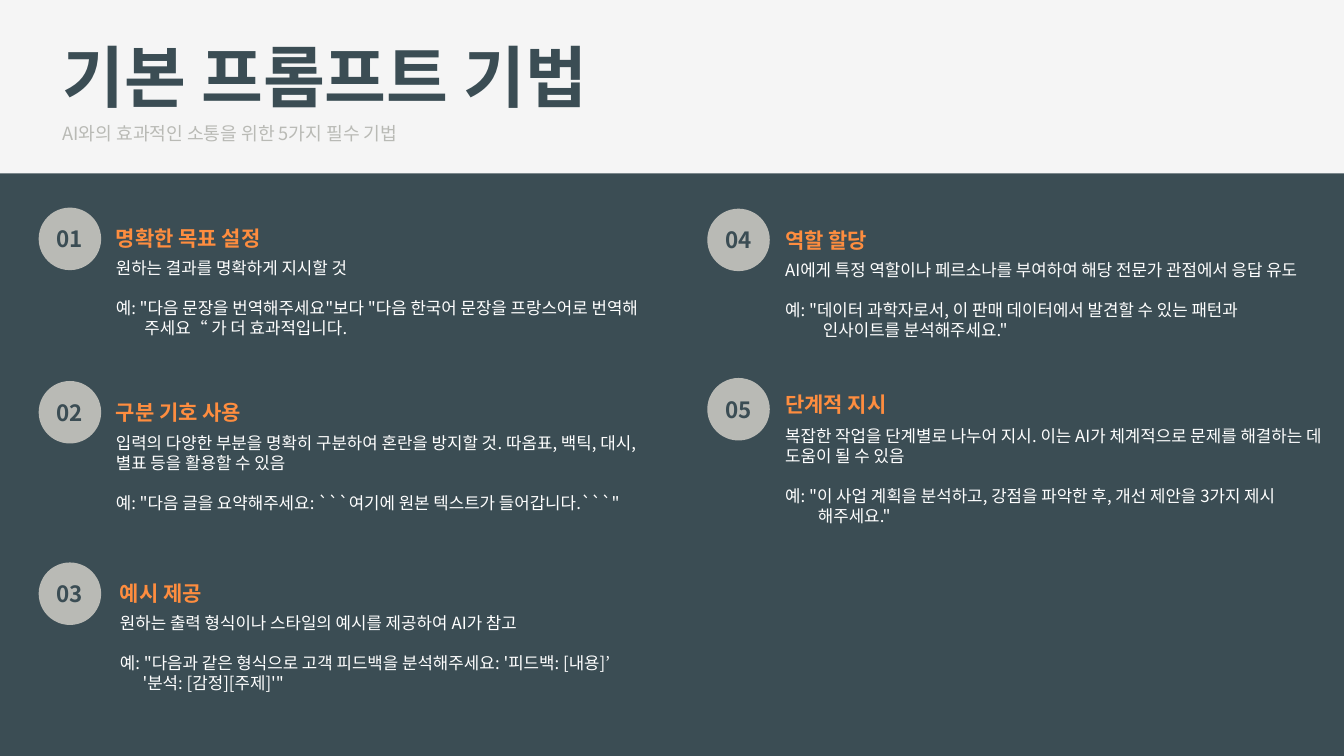
from dataclasses import dataclass

from lxml.etree import SubElement
from pptx import Presentation
from pptx.dml.color import RGBColor
from pptx.enum.shapes import MSO_SHAPE
from pptx.enum.text import MSO_ANCHOR, MSO_AUTO_SIZE, PP_ALIGN
from pptx.oxml.ns import qn
from pptx.shapes.autoshape import Shape
from pptx.slide import Slide
from pptx.text.text import TextFrame
from pptx.util import Inches, Pt

COLORS = {
    "paper": "F5F5F5",
    "slate": "3B4D54",
    "stone": "B9BAB5",
    "orange": "FE8D3F",
    "white": "FFFFFF",
}
FONT = "Noto Sans CJK KR"
LINE = Pt(14.3)

# The slide is a grid of 160 columns by 90 rows.
WIDTH, HEIGHT = Inches(13.333), Inches(7.5)
COLUMN, ROW = WIDTH / 160, HEIGHT / 90
BAND_TOP = 20.64
DISC_SIZE = 7.44
HEADING_ROWS = 3.6
BODY_DROP = 4.9
LEFT_DISC, LEFT_TEXT = 4.6, 13.8
RIGHT_DISC, RIGHT_TEXT = 84.2, 93.48


@dataclass(frozen=True)
class Area:
    column: float
    row: float
    columns: float
    rows: float


@dataclass(frozen=True)
class Technique:
    heading: str
    advice: list[str]
    example: str
    continuation: str
    indent: float
    disc_column: float
    disc_row: float
    text_column: float
    heading_row: float
    body_columns: float
    body_rows: float = 8.16


TECHNIQUES = [
    Technique(
        "명확한 목표 설정",
        ["원하는 결과를 명확하게 지시할 것"],
        "예: \"다음 문장을 번역해주세요\"보다 \"다음 한국어 문장을 프랑스어로 번역해",
        "주세요“ 가 더 효과적입니다.",
        3.4, LEFT_DISC, 24.72, LEFT_TEXT, 26.52, 66,
    ),
    Technique(
        "구분 기호 사용",
        ["입력의 다양한 부분을 명확히 구분하여 혼란을 방지할 것. 따옴표, 백틱, 대시,",
         "별표 등을 활용할 수 있음"],
        "예: \"다음 글을 요약해주세요: ```여기에 원본 텍스트가 들어갑니다.```\"",
        "",
        0, LEFT_DISC, 45.36, LEFT_TEXT, 47.28, 66,
    ),
    Technique(
        "예시 제공",
        ["원하는 출력 형식이나 스타일의 예시를 제공하여 AI가 참고"],
        "예: \"다음과 같은 형식으로 고객 피드백을 분석해주세요: '피드백: [내용]’",
        "'분석: [감정][주제]'\"",
        2.7, LEFT_DISC, 66.96, LEFT_TEXT + 0.48, 68.76, 60.48,
    ),
    Technique(
        "역할 할당",
        ["AI에게 특정 역할이나 페르소나를 부여하여 해당 전문가 관점에서 응답 유도"],
        "예: \"데이터 과학자로서, 이 판매 데이터에서 발견할 수 있는 패턴과",
        "인사이트를 분석해주세요.\"",
        4.5, RIGHT_DISC, 24.84, RIGHT_TEXT, 26.76, 64,
    ),
    Technique(
        "단계적 지시",
        ["복잡한 작업을 단계별로 나누어 지시. 이는 AI가 체계적으로 문제를 해결하는 데 도움이 될 수 있음"],
        "예: \"이 사업 계획을 분석하고, 강점을 파악한 후, 개선 제안을 3가지 제시",
        "해주세요.\"",
        3.9, RIGHT_DISC, 45, RIGHT_TEXT, 46.32, 64, 10.92,
    ),
]


def grid_box(area: Area) -> tuple[int, int, int, int]:
    """Turn grid units into left, top, width and height."""
    return (round(area.column * COLUMN), round(area.row * ROW),
            round(area.columns * COLUMN), round(area.rows * ROW))


def write(frame: TextFrame, text: str, size: float, color: str,
          bold: bool = False, align: PP_ALIGN = PP_ALIGN.LEFT) -> None:
    """Fill a text frame, one paragraph a line, in a single style."""
    frame.text = text
    frame.word_wrap = True
    frame.auto_size = MSO_AUTO_SIZE.NONE
    frame.vertical_anchor = MSO_ANCHOR.MIDDLE
    frame.margin_left = frame.margin_right = 0
    frame.margin_top = frame.margin_bottom = 0
    for para in frame.paragraphs:
        para.alignment = align
        para.space_before = Pt(0)
        for span in para.runs:
            span.font.size = Pt(size)
            span.font.bold = bold
            span.font.color.rgb = RGBColor.from_string(COLORS[color])
            span.font.name = FONT
            SubElement(span.font._element, qn("a:ea"), typeface=FONT)


def add_filled(page: Slide, kind: MSO_SHAPE, area: Area, color: str) -> Shape:
    shape = page.shapes.add_shape(kind, *grid_box(area))
    shape.shadow.inherit = False
    shape.fill.solid()
    shape.fill.fore_color.rgb = RGBColor.from_string(COLORS[color])
    shape.line.fill.background()
    return shape


def fill_placeholder(box: Shape, area: Area, text: str, size: float,
                     color: str, bold: bool = False) -> None:
    box.left, box.top, box.width, box.height = grid_box(area)
    write(box.text_frame, text, size, color, bold)


def add_technique(page: Slide, number: int, item: Technique) -> None:
    disc_area = Area(item.disc_column, item.disc_row, DISC_SIZE, DISC_SIZE)
    disc = add_filled(page, MSO_SHAPE.OVAL, disc_area, "stone")
    write(disc.text_frame, f"{number:02d}", 16, "slate", True, PP_ALIGN.CENTER)

    heading_area = Area(item.text_column, item.heading_row, 30, HEADING_ROWS)
    heading = page.shapes.add_textbox(*grid_box(heading_area))
    write(heading.text_frame, item.heading, 15, "orange", True)

    body_area = Area(item.text_column, item.heading_row + BODY_DROP,
                     item.body_columns, item.body_rows)
    body = page.shapes.add_textbox(*grid_box(body_area)).text_frame
    lines = [*item.advice, item.example]
    if item.continuation:
        lines.append(item.continuation)
    write(body, "\n".join(lines), 12, "white")
    for para in body.paragraphs:
        para.line_spacing = LINE
    body.paragraphs[len(item.advice)].space_before = LINE
    if item.continuation:
        properties = body.paragraphs[-1]._p.get_or_add_pPr()
        properties.set("marL", str(round(item.indent * COLUMN)))
        properties.set("indent", "0")


def main() -> None:
    deck = Presentation()
    deck.slide_width, deck.slide_height = WIDTH, HEIGHT
    page = deck.slides.add_slide(deck.slide_layouts[0])
    page.background.fill.solid()
    page.background.fill.fore_color.rgb = RGBColor.from_string(COLORS["paper"])

    fill_placeholder(page.shapes.title, Area(7.44, 3.24, 69.36, 11.52),
                     "기본 프롬프트 기법", 48, "slate", True)
    fill_placeholder(page.placeholders[1], Area(7.44, 14.28, 60, 3.24),
                     "AI와의 효과적인 소통을 위한 5가지 필수 기법", 13, "stone")
    add_filled(page, MSO_SHAPE.RECTANGLE,
               Area(0, BAND_TOP, 160, 90 - BAND_TOP), "slate")
    for number, item in enumerate(TECHNIQUES, start=1):
        add_technique(page, number, item)

    deck.save("out.pptx")


if __name__ == "__main__":
    main()
